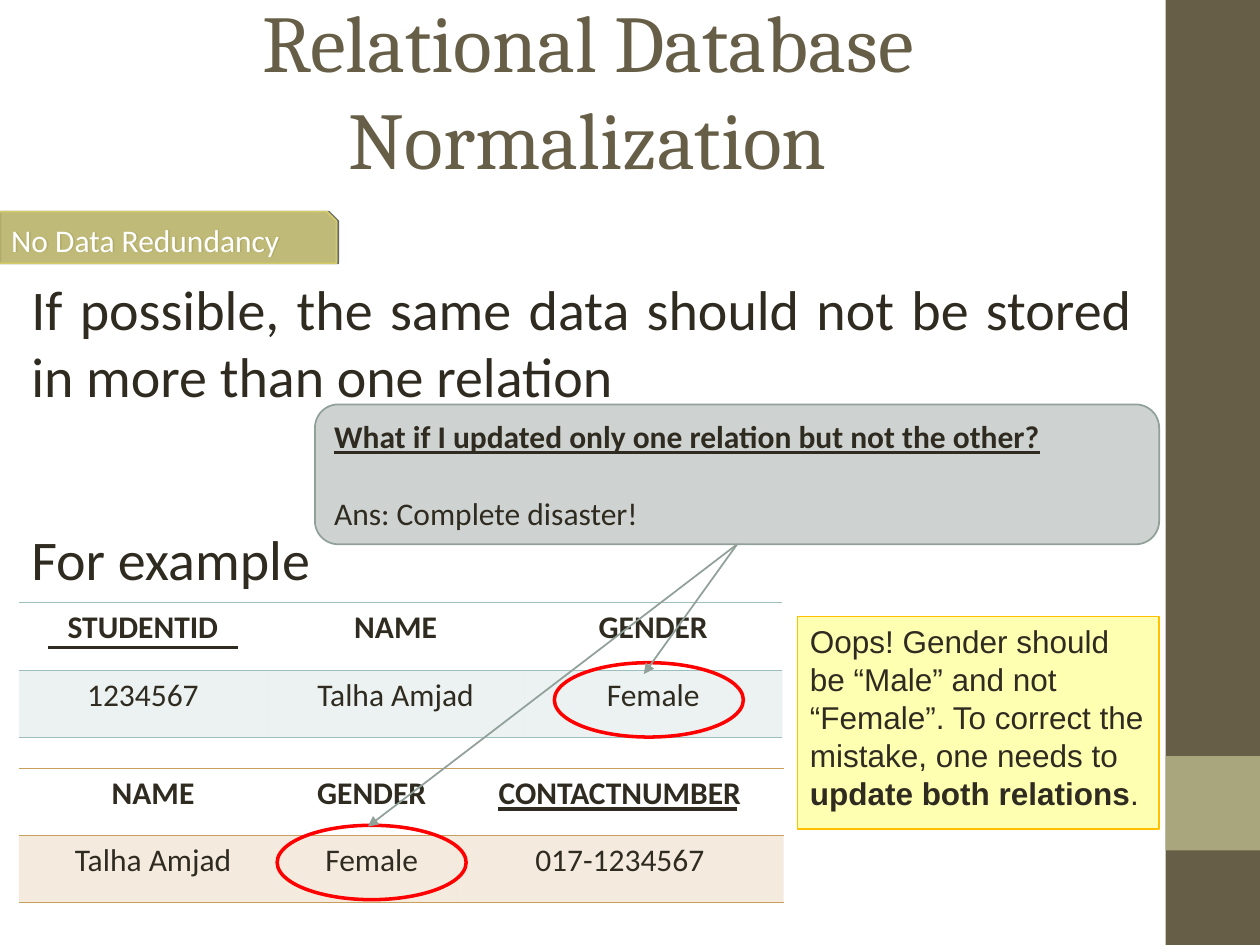
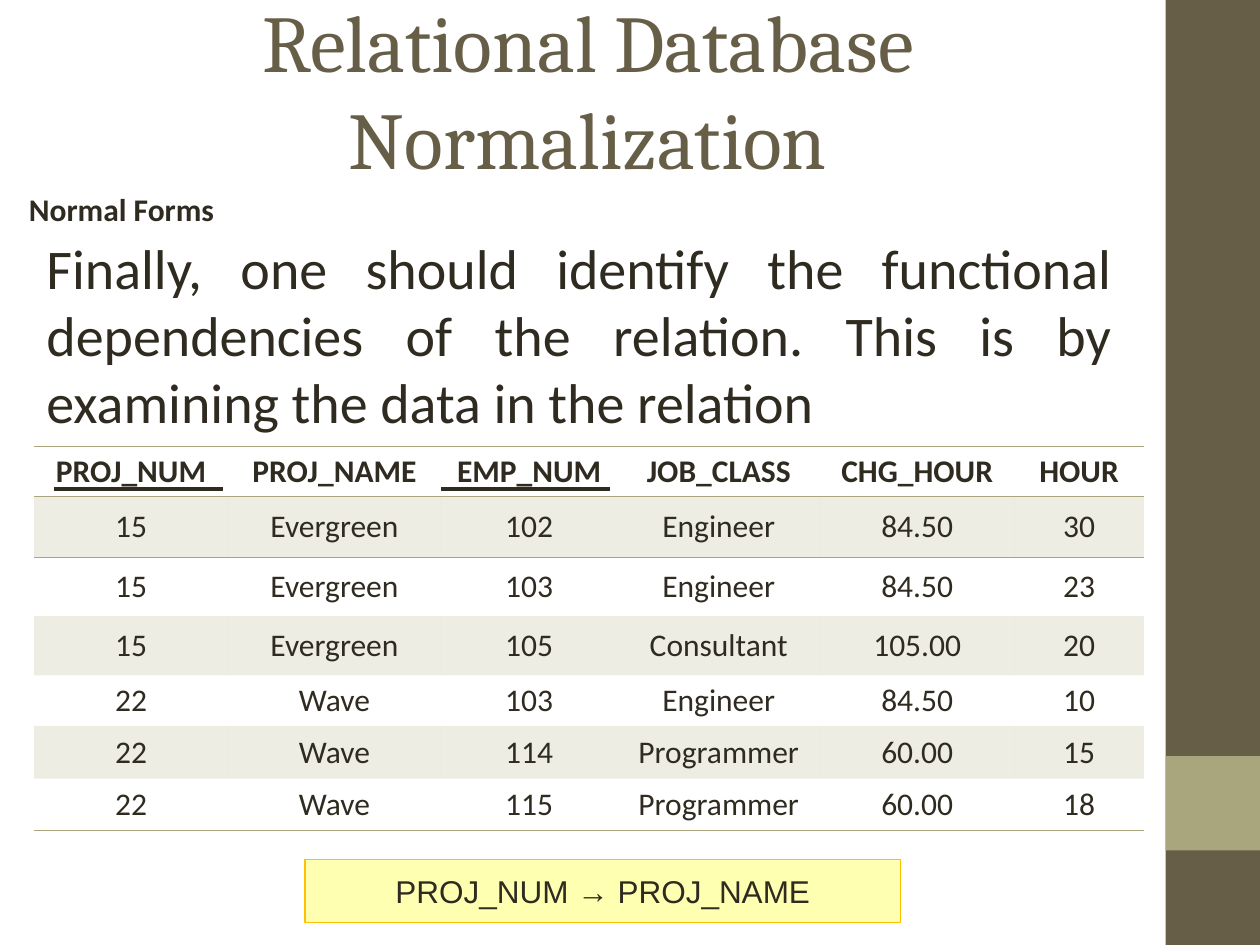
from pptx import Presentation, util as u
from pptx.dml.color import RGBColor
from pptx.enum import shapes, text
from pptx.oxml import parse_xml
from pptx.oxml.ns import nsdecls

INK, BROWN, SAND = "2F2B20", "675E47", "A9A57C"
TEAL, TAN, GREY, RED = "9CBEBD", "C89F5D", "91A099", "FF0000"
YELLOW, GOLD, OLIVE = "FFFF00", "FFC000", "D2CB6C"
NO_GRID = "{2D5ABB26-0587-4C30-8999-92F81FD0307C}"
KIND = shapes.MSO_SHAPE
ALIGN = text.PP_ALIGN
ANCHOR = text.MSO_ANCHOR


def tone(code):
    return RGBColor.from_string(code)


def node(tag, inner="", **attrs):
    pairs = "".join(f' {key}="{val}"' for key, val in attrs.items())
    return parse_xml(f"<a:{tag} {nsdecls('a')}{pairs}>{inner}</a:{tag}>")


def color(code, alpha):
    return f'<a:srgbClr val="{code}"><a:alpha val="{alpha * 1000}"/></a:srgbClr>'


def fade(props, alpha):
    props.xpath("./a:solidFill/a:srgbClr")[0].append(node("alpha", val=alpha * 1000))


def box(*sizes):
    return [u.Inches(size) for size in sizes]


class Deck:
    def __init__(self):
        self.file = Presentation()
        self.file.slide_width, self.file.slide_height = box(10, 7.5)

    def start(self, title):
        self.slide = self.file.slides.add_slide(self.file.slide_layouts[5])
        self.shape(KIND.RECTANGLE, (9.25, 0, 0.75, 7.5), BROWN)
        self.shape(KIND.RECTANGLE, (9.25, 6, 0.75, 0.75), SAND)
        head = self.slide.shapes.title
        head.left, head.top, head.width, head.height = box(0.5, 0.08, 8.33, 1.25)
        head.text_frame.auto_size = text.MSO_AUTO_SIZE.NONE
        self.label(head.text_frame, [title], 46, "Cambria", BROWN, ALIGN.CENTER, ANCHOR.MIDDLE)

    def label(self, frame, lines, size=18, face="Calibri", ink=INK,
              align=ALIGN.LEFT, anchor=ANCHOR.TOP, bold=False):
        frame.word_wrap = True
        frame.vertical_anchor = anchor
        frame.text = "\n".join(lines)
        for para in frame.paragraphs:
            para.alignment = align
            para.font.size = u.Pt(size)
            para.font.name = face
            para.font.bold = bold
            para.font.color.rgb = tone(ink)
        return frame.paragraphs

    def shape(self, kind, place, fill=None, line=None, width=1, alpha=None):
        item = self.slide.shapes.add_shape(kind, *box(*place))
        item.shadow.inherit = False
        if fill:
            item.fill.solid()
            item.fill.fore_color.rgb = tone(fill)
        else:
            item.fill.background()
        if alpha:
            fade(item.element.spPr, alpha)
        if line:
            item.line.color.rgb = tone(line)
            item.line.width = u.Pt(width)
        else:
            item.line.fill.background()
        return item

    def body(self, place, lines, **style):
        frame = self.slide.shapes.add_textbox(*box(*place)).text_frame
        self.label(frame, lines, **style)
        return frame

    def note(self, place, line, **style):
        item = self.shape(KIND.RECTANGLE, place, YELLOW, GOLD, 0.75, 30)
        return self.label(item.text_frame, [line], face="Arial", **style)[0]

    def ring(self, left, top):
        self.shape(KIND.OVAL, (left, top, 1.5, 0.59), None, RED, 2)

    def line(self, start, end, ink=INK, width=2):
        item = self.slide.shapes.add_connector(
            shapes.MSO_CONNECTOR.STRAIGHT, *box(*start, *end))
        item.line.color.rgb = tone(ink)
        item.line.width = u.Pt(width)
        item.element.spPr.append(node("effectLst"))
        return item

    def arrow(self, source, start, end):
        item = self.line(start, end, GREY, 1)
        item.begin_connect(source, 2)
        item.element.spPr.xpath("./a:ln")[0].append(node("tailEnd", type="triangle"))

    def rule(self, left, right, top):
        self.line((left, top), (right, top))

    def table(self, place, cols, tall, rows, tint, anchor=ANCHOR.TOP):
        frame = self.slide.shapes.add_table(
            len(rows), len(cols), *box(*place, sum(cols), sum(tall)))
        frame.element.xpath(".//a:tableStyleId")[0].text = NO_GRID
        grid = frame.table
        grid.horz_banding = False
        for col, wide in zip(grid.columns, cols):
            col.width = u.Inches(wide)
        for row, high in zip(grid.rows, tall):
            row.height = u.Inches(high)
        cells = zip(grid.iter_cells(), frame.element.xpath(".//a:tc"))
        for index, (cell, raw) in enumerate(cells):
            row, col = divmod(index, len(cols))
            self.label(cell.text_frame, [rows[row][col]], align=ALIGN.CENTER, bold=row == 0)
            cell.vertical_anchor = anchor if row else ANCHOR.TOP
            props = raw.get_or_add_tcPr()
            if row % 2:
                cell.fill.solid()
                cell.fill.fore_color.rgb = tone(tint)
                fade(props, 20)
            else:
                cell.fill.background()
            edges = {"lnB": row in (0, len(rows) - 1), "lnT": row < 2}
            for tag, shown in edges.items():
                if shown:
                    fill = f"<a:solidFill>{color(tint, 100)}</a:solidFill>"
                    props.insert(0, node(tag, fill, w=u.Pt(0.45)))


def redundancy(deck):
    deck.start("Relational Database Normalization")
    tag = deck.shape(KIND.SNIP_1_RECTANGLE, (-0.01, 1.68, 2.68, 0.41), OLIVE, OLIVE, 1, 70)
    tag.adjustments[0] = 0.18
    glow = tag.element.spPr.xpath("./a:effectLst")[0]
    glow.append(node("outerShdw", color("000000", 60), blurRad=0, dist=u.Pt(1), dir=0))
    deck.label(tag.text_frame, ["No Data Redundancy"], ink="FFFFFF", anchor=ANCHOR.MIDDLE)

    frame = deck.body((0.15, 2.13, 8.94, 1.18), [
        "If possible, the same data should not be stored in more than one relation",
        "For example"], size=32, align=ALIGN.JUSTIFY)
    frame.paragraphs[1].space_before = u.Pt(66)

    deck.table((0.15, 4.78), (1.97, 2.04, 2.05), (0.54, 0.53), [
        ("STUDENTID", "NAME", "GENDER"),
        ("1234567", "Talha Amjad", "Female")], TEAL)
    deck.table((0.15, 6.1), (2.13, 1.34, 2.6), (0.53, 0.53), [
        ("NAME", "GENDER", "CONTACTNUMBER"),
        ("Talha Amjad", "Female", "017-1234567")], TAN)

    para = deck.note((6.33, 4.89, 2.87, 1.69),
                     "Oops! Gender should be “Male” and not “Female”. "
                     "To correct the mistake, one needs to ")
    for words, bold in (("update both relations", True), (".", False)):
        run = para.add_run()
        run.text = words
        run.font.bold = bold

    deck.rule(0.38, 1.89, 5.14)
    deck.rule(3.95, 5.85, 6.42)
    deck.ring(2.2, 6.55)
    deck.ring(4.4, 5.26)

    call = deck.shape(KIND.ROUNDED_RECTANGLE, (2.5, 3.21, 6.7, 1.11), "CED3D1", GREY)
    ask, reply = deck.label(call.text_frame, [
        "What if I updated only one relation but not the other?",
        "Ans: Complete disaster!"])
    ask.font.bold = ask.font.underline = True
    reply.space_before = u.Pt(22)
    for end in ((2.92, 6.56), (5.11, 5.35)):
        deck.arrow(call, (5.85, 4.32), end)


def forms(deck):
    deck.start("Relational Database Normalization")
    frame = deck.body((0.15, 1.56, 8.94, 0.35), ["Normal Forms"], bold=True)
    frame.paragraphs[0].line_spacing = u.Pt(18)
    frame.margin_left = frame.margin_right = u.Inches(0.08)
    frame.margin_top = frame.margin_bottom = 0
    deck.body((0.27, 1.8, 8.66, 1.18), [
        "Finally, one should identify the functional dependencies of the relation. "
        "This is by examining the data in the relation"], size=32, align=ALIGN.JUSTIFY)
    deck.table((0.27, 3.54), (1.54, 1.69, 1.4, 1.61, 1.54, 1.03),
               (0.4, 0.48, 0.47, 0.47, 0.4, 0.42, 0.41), [
        ("PROJ_NUM", "PROJ_NAME", "EMP_NUM", "JOB_CLASS", "CHG_HOUR", "HOUR"),
        ("15", "Evergreen", "102", "Engineer", "84.50", "30"),
        ("15", "Evergreen", "103", "Engineer", "84.50", "23"),
        ("15", "Evergreen", "105", "Consultant", "105.00", "20"),
        ("22", "Wave", "103", "Engineer", "84.50", "10"),
        ("22", "Wave", "114", "Programmer", "60.00", "15"),
        ("22", "Wave", "115", "Programmer", "60.00", "18")], SAND, ANCHOR.MIDDLE)
    for left in (0.43, 3.5):
        deck.rule(left, left + 1.34, 3.88)
    deck.note((2.42, 6.82, 4.73, 0.5), "PROJ_NUM → PROJ_NAME",
              align=ALIGN.CENTER, anchor=ANCHOR.MIDDLE)


def main():
    deck = Deck()
    redundancy(deck)
    forms(deck)
    deck.file.save("out.pptx")


if __name__ == "__main__":
    main()
